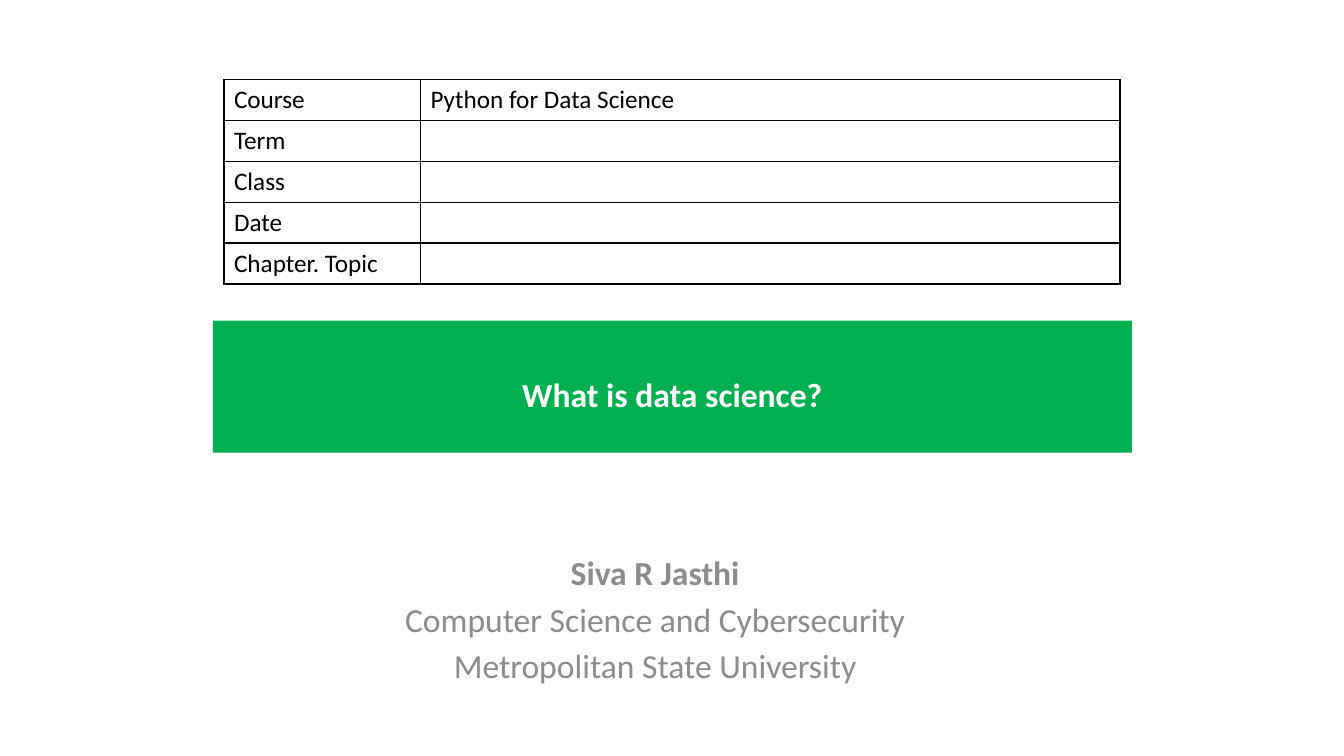
from lxml.etree import SubElement
from pptx import Presentation
from pptx.dml.color import RGBColor
from pptx.enum.text import MSO_ANCHOR, MSO_AUTO_SIZE, PP_ALIGN
from pptx.oxml.ns import qn
from pptx.util import Pt


def colour(hex_code):
    """Turn a hex string into a colour."""
    return RGBColor.from_string(hex_code)


class CoverSlide:
    """Holds the style and the current slide, and adds its elements."""

    font = "Calibri"
    black = "000000"
    white = "FFFFFF"
    green = "00B050"
    grey = "8C8C8C"

    def __init__(self, deck):
        """Add a title-only slide to the deck."""
        self.slide = deck.slides.add_slide(deck.slide_layouts[5])

    def add_text(self, paragraph, text, size, hex_code, bold=False):
        """Add one formatted run to a paragraph."""
        run = paragraph.add_run()
        run.text = text
        run.font.name = self.font
        run.font.size = Pt(size)
        run.font.bold = bold
        run.font.color.rgb = colour(hex_code)

    def title_bar(self, text, left, top, width, height, text_offset):
        """Show the title in a filled bar, its text offset from the top."""
        bar = self.slide.shapes.title
        bar.left, bar.top, bar.width, bar.height = map(Pt, (left, top, width, height))
        bar.fill.solid()
        bar.fill.fore_color.rgb = colour(self.green)
        frame = bar.text_frame
        frame.auto_size = MSO_AUTO_SIZE.NONE
        frame.vertical_anchor = MSO_ANCHOR.TOP
        frame.margin_top = Pt(text_offset)
        heading = frame.paragraphs[0]
        heading.alignment = PP_ALIGN.CENTER
        self.add_text(heading, text, 24, self.white, bold=True)

    def presenter(self, name, affiliations, left, top, width, height):
        """Add the presenter's name above the affiliations."""
        box = self.slide.shapes.add_textbox(*map(Pt, (left, top, width, height)))
        frame = box.text_frame
        frame.word_wrap = True
        for index, text in enumerate([name, *affiliations]):
            line = frame.add_paragraph() if index else frame.paragraphs[0]
            line.alignment = PP_ALIGN.CENTER
            line.space_before = Pt(4.3 if index else 0)
            self.add_text(line, text, 24, self.grey, bold=index == 0)

    def border(self, cell):
        """Draw a thin line on all four sides of a cell."""
        properties = cell._tc.get_or_add_tcPr()
        for position, side in enumerate(("a:lnL", "a:lnR", "a:lnT", "a:lnB")):
            line = SubElement(properties, qn(side), w=str(Pt(1)))
            fill = SubElement(line, qn("a:solidFill"))
            SubElement(fill, qn("a:srgbClr"), val=self.black)
            properties.insert(position, line)

    def details_table(self, details, left, top, column_widths, row_height):
        """Add a bordered table of course details."""
        table = self.slide.shapes.add_table(
            len(details), len(column_widths), Pt(left), Pt(top),
            Pt(sum(column_widths)), Pt(row_height * len(details)),
        ).table
        table.first_row = table.horz_banding = False
        for column, width in zip(table.columns, column_widths):
            column.width = Pt(width)
        for row, detail in zip(table.rows, details):
            row.height = Pt(row_height)
            for cell, text in zip(row.cells, detail):
                cell.fill.background()
                self.border(cell)
                entry = cell.text_frame.paragraphs[0]
                if text:
                    self.add_text(entry, text, 18, self.black)
                else:
                    entry.font.size = Pt(18)


def main():
    """Build the cover slide and save it."""
    deck = Presentation()
    deck.slide_width, deck.slide_height = Pt(960), Pt(540)
    cover = CoverSlide(deck)
    cover.title_bar("What is data science?", 152, 229, 656.5, 94.3, text_offset=37.7)
    cover.presenter(
        "Siva R Jasthi",
        ["Computer Science and Cybersecurity", "Metropolitan State University"],
        172, 391, 592, 106.5,
    )
    cover.details_table(
        [
            ("Course", "Python for Data Science"),
            ("Term", ""),
            ("Class", ""),
            ("Date", ""),
            ("Chapter. Topic", ""),
        ],
        160, 56.8, (140.4, 499.6), 29.2,
    )
    deck.save("out.pptx")


if __name__ == "__main__":
    main()
